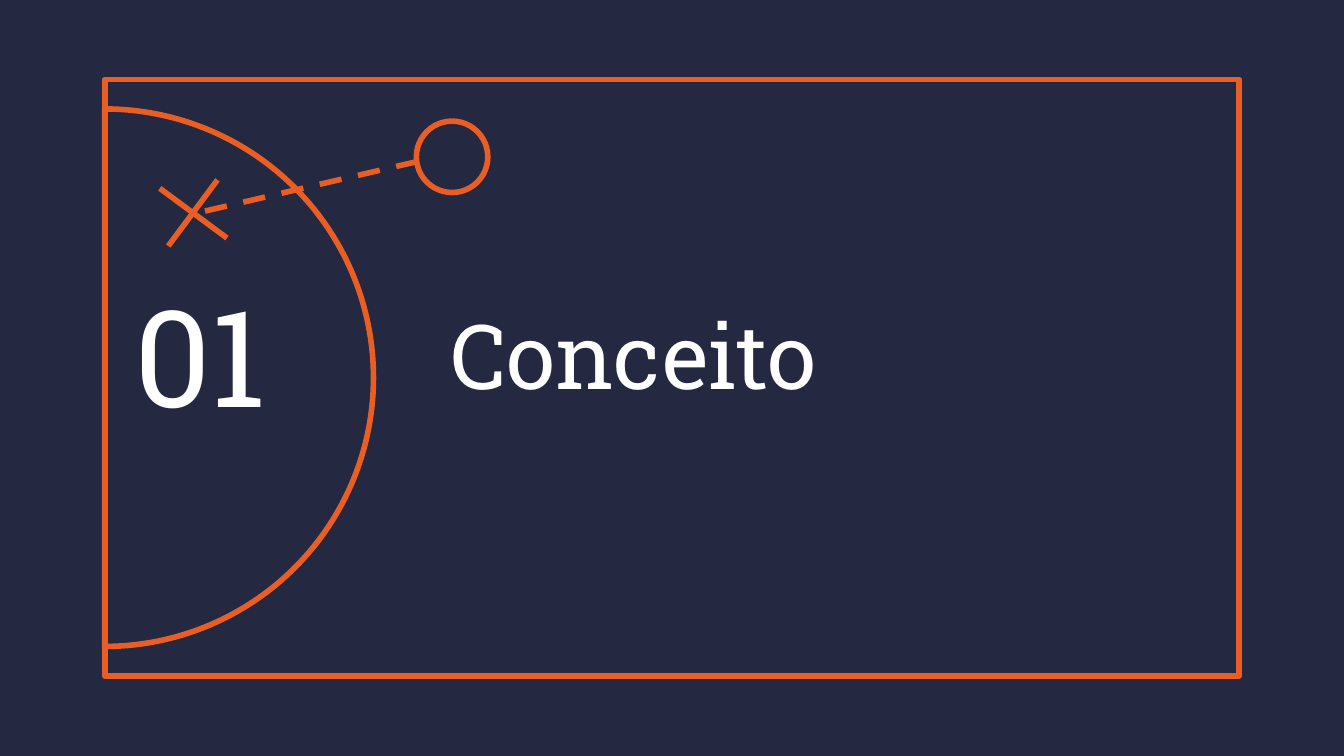
from dataclasses import dataclass

from pptx import Presentation
from pptx.dml.color import RGBColor
from pptx.enum.dml import MSO_LINE
from pptx.enum.shapes import MSO_CONNECTOR, MSO_SHAPE
from pptx.enum.text import MSO_ANCHOR
from pptx.oxml.ns import qn
from pptx.util import Cm, Pt


@dataclass(frozen=True)
class Theme:
    background: RGBColor = RGBColor(0x24, 0x28, 0x41)
    accent: RGBColor = RGBColor(0xE9, 0x5E, 0x24)
    text: RGBColor = RGBColor(0xFF, 0xFF, 0xFF)
    font: str = "Roboto Slab"
    title_size: int = 48
    number_size: int = 72
    line_width: float = 3


@dataclass(frozen=True)
class Box:
    """Lengths in centimetres."""
    left: float
    top: float
    width: float
    height: float

    def emu(self):
        return Cm(self.left), Cm(self.top), Cm(self.width), Cm(self.height)


THEME = Theme()


def style_line(line):
    line.color.rgb = THEME.accent
    line.width = Pt(THEME.line_width)


def add_outline(slide, preset, box):
    shape = slide.shapes.add_shape(preset, *box.emu())
    shape.shadow.inherit = False
    shape.fill.background()
    style_line(shape.line)
    return shape


def add_stroke(slide, box, start, end):
    """Draw a line between two points measured from the corner of the box."""
    connector = slide.shapes.add_connector(
        MSO_CONNECTOR.STRAIGHT,
        Cm(box.left + start[0]), Cm(box.top + start[1]),
        Cm(box.left + end[0]), Cm(box.top + end[1]),
    )
    style_line(connector.line)
    properties = connector._element.spPr
    properties.append(properties.makeelement(qn("a:effectLst"), {}))
    return connector


def add_text(slide, box, text, size):
    text_box = slide.shapes.add_textbox(*box.emu())
    frame = text_box.text_frame
    frame.word_wrap = True
    frame.vertical_anchor = MSO_ANCHOR.MIDDLE
    frame.margin_left = frame.margin_right = Cm(0.25)
    frame.margin_top = frame.margin_bottom = Cm(0.25)
    run = frame.paragraphs[0].add_run()
    run.text = text
    run.font.name = THEME.font
    run.font.size = Pt(size)
    run.font.color.rgb = THEME.text


def add_court(slide, box):
    """Draw the court border with a half circle on its left side."""
    add_outline(slide, MSO_SHAPE.RECTANGLE, box)
    radius = 5.08
    middle = box.top + box.height / 2
    half_circle = add_outline(
        slide, MSO_SHAPE.PIE,
        Box(box.left - radius, middle - radius, 2 * radius, 2 * radius),
    )
    # Angles are in 60000ths of a degree, scaled by 100000: 270 and 90 degrees
    half_circle.adjustments[0] = 162
    half_circle.adjustments[1] = 54


def add_heading(slide, box, number, title):
    number_width = 5.97
    add_text(slide, Box(box.left, box.top, number_width, box.height),
             number, THEME.number_size)
    add_text(slide, Box(box.left + number_width, box.top,
                        box.width - number_width, box.height),
             title, THEME.title_size)


def add_play(slide, box):
    """Draw a cross joined by a dashed line to a circle at the top right."""
    diameter = 1.35
    circle = add_outline(
        slide, MSO_SHAPE.OVAL,
        Box(box.left + box.width - diameter, box.top, diameter, diameter),
    )
    circle.fill.solid()
    circle.fill.fore_color.rgb = THEME.background
    add_stroke(slide, box, (1.09, 1.11), (0.16, box.height))
    add_stroke(slide, box, (0, 1.27), (1.27, 2.21))
    dashed = add_stroke(slide, box, (4.88, 0.76), (0.64, 1.75))
    dashed.line.dash_style = MSO_LINE.DASH


def add_section_slide(presentation, number, title):
    slide = presentation.slides.add_slide(presentation.slide_layouts[6])
    slide.background.fill.solid()
    slide.background.fill.fore_color.rgb = THEME.background
    add_court(slide, Box(1.98, 1.5, 21.44, 11.28))
    add_heading(slide, Box(2.29, 4.37, 20.83, 4.62), number, title)
    add_play(slide, Box(3.02, 2.29, 6.2, 2.36))


def main():
    presentation = Presentation()
    presentation.slide_width = Cm(25.4)
    presentation.slide_height = Cm(14.29)
    add_section_slide(presentation, "01", "Conceito")
    presentation.save("out.pptx")


if __name__ == "__main__":
    main()
